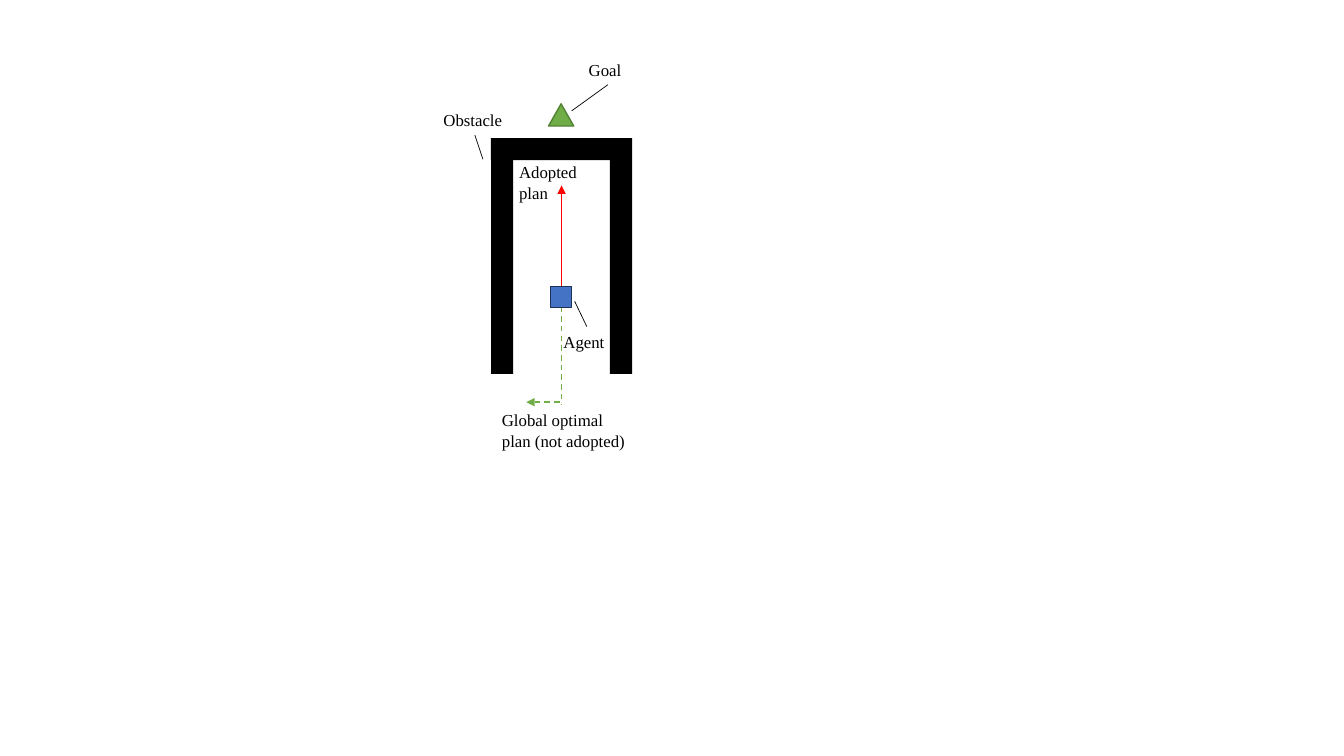
from dataclasses import dataclass

from lxml.etree import SubElement
from pptx import Presentation
from pptx.dml.color import RGBColor
from pptx.enum.dml import MSO_LINE
from pptx.enum.shapes import MSO_CONNECTOR, MSO_SHAPE
from pptx.enum.text import MSO_AUTO_SIZE
from pptx.oxml.ns import qn
from pptx.util import Inches, Pt

BLACK, RED, GREEN, BLUE = "000000", "FF0000", "70AD47", "4472C4"
LABEL_FONT = {"name": "Times New Roman", "size": Pt(12)}
LABEL_FRAME = {"word_wrap": True, "auto_size": MSO_AUTO_SIZE.SHAPE_TO_FIT_TEXT}


@dataclass
class Block:
    left: float
    top: float
    width: float
    height: float
    fill: str
    outline: str | None = None
    kind: MSO_SHAPE = MSO_SHAPE.RECTANGLE


@dataclass
class Label:
    text: str
    left: float
    top: float
    width: float
    height: float = 0.3


@dataclass
class Line:
    start: tuple[float, float]
    end: tuple[float, float]
    color: str = BLACK
    weight: float = 0.5
    dashed: bool = False
    arrow: bool = False


def rgb(value: str) -> RGBColor:
    return RGBColor.from_string(value)


def draw_block(shapes, block: Block) -> None:
    box = (block.left, block.top, block.width, block.height)
    sp = shapes.add_shape(block.kind, *map(Inches, box))
    sp.shadow.inherit = False
    sp.fill.solid()
    sp.fill.fore_color.rgb = rgb(block.fill)
    if block.outline:
        sp.line.color.rgb = rgb(block.outline)
        sp.line.width = Pt(1)
    else:
        sp.line.fill.background()


def draw_line(shapes, line: Line) -> None:
    ends = map(Inches, (*line.start, *line.end))
    sp = shapes.add_connector(MSO_CONNECTOR.STRAIGHT, *ends)
    sp.line.color.rgb = rgb(line.color)
    sp.line.width = Pt(line.weight)
    if line.dashed:
        sp.line.dash_style = MSO_LINE.DASH
    if line.arrow:
        SubElement(sp.line._get_or_add_ln(), qn("a:tailEnd"), type="triangle")
    SubElement(sp._element.spPr, qn("a:effectLst"))


def draw_label(shapes, label: Label) -> None:
    box = (label.left, label.top, label.width, label.height)
    tf = shapes.add_textbox(*map(Inches, box)).text_frame
    for name, value in LABEL_FRAME.items():
        setattr(tf, name, value)
    r = tf.paragraphs[0].add_run()
    r.text = label.text
    for name, value in LABEL_FONT.items():
        setattr(r.font, name, value)
    r.font.color.rgb = rgb(BLACK)


prs = Presentation()
prs.slide_width, prs.slide_height = Inches(13.33), Inches(7.5)
slide = prs.slides.add_slide(prs.slide_layouts[6])
shapes = slide.shapes

# U-shaped obstacle: a top bar and two side walls
LEFT, TOP, SPAN, DEPTH, WALL = 4.87, 1.37, 1.4, 2.34, 0.22
obstacle = shapes.add_group_shape().shapes
draw_block(obstacle, Block(LEFT, TOP, SPAN - 0.03, WALL, BLACK))
for wall_left in (LEFT, LEFT + SPAN - WALL):
    draw_block(obstacle, Block(wall_left, TOP, WALL, DEPTH, BLACK))

# Plans and leader lines
AXIS = LEFT + SPAN / 2
lines = [
    Line((AXIS, 2.84), (AXIS, 1.84), RED, 1, arrow=True),
    Line((AXIS, 3.04), (AXIS, 4.02), GREEN, 1, dashed=True),
    Line((5.55, 3.99), (5.22, 3.99), GREEN, 1, dashed=True, arrow=True),
    Line((5.67, 1.1), (6.03, 0.84)),
    Line((5.7, 2.99), (5.82, 3.24)),
    Line((4.71, 1.34), (4.79, 1.58)),
]
for line in lines:
    draw_line(shapes, line)

# Agent and goal
draw_block(shapes, Block(5.46, 2.84, 0.21, 0.21, BLUE, "1E3256"))
draw_block(shapes, Block(5.44, 1.03, 0.25, 0.22, GREEN, "548235",
                         MSO_SHAPE.ISOSCELES_TRIANGLE))

# Labels
labels = [
    Label("Goal", 5.74, 0.54, 0.58),
    Label("Agent", 5.49, 3.24, 0.67),
    Label("Global optimal plan (not adopted)", 4.88, 4.02, 1.44, 0.5),
    Label("Adopted plan", 5.05, 1.56, 0.83, 0.5),
    Label("Obstacle", 4.3, 1.04, 0.83),
]
for label in labels:
    draw_label(shapes, label)

prs.save("out.pptx")
